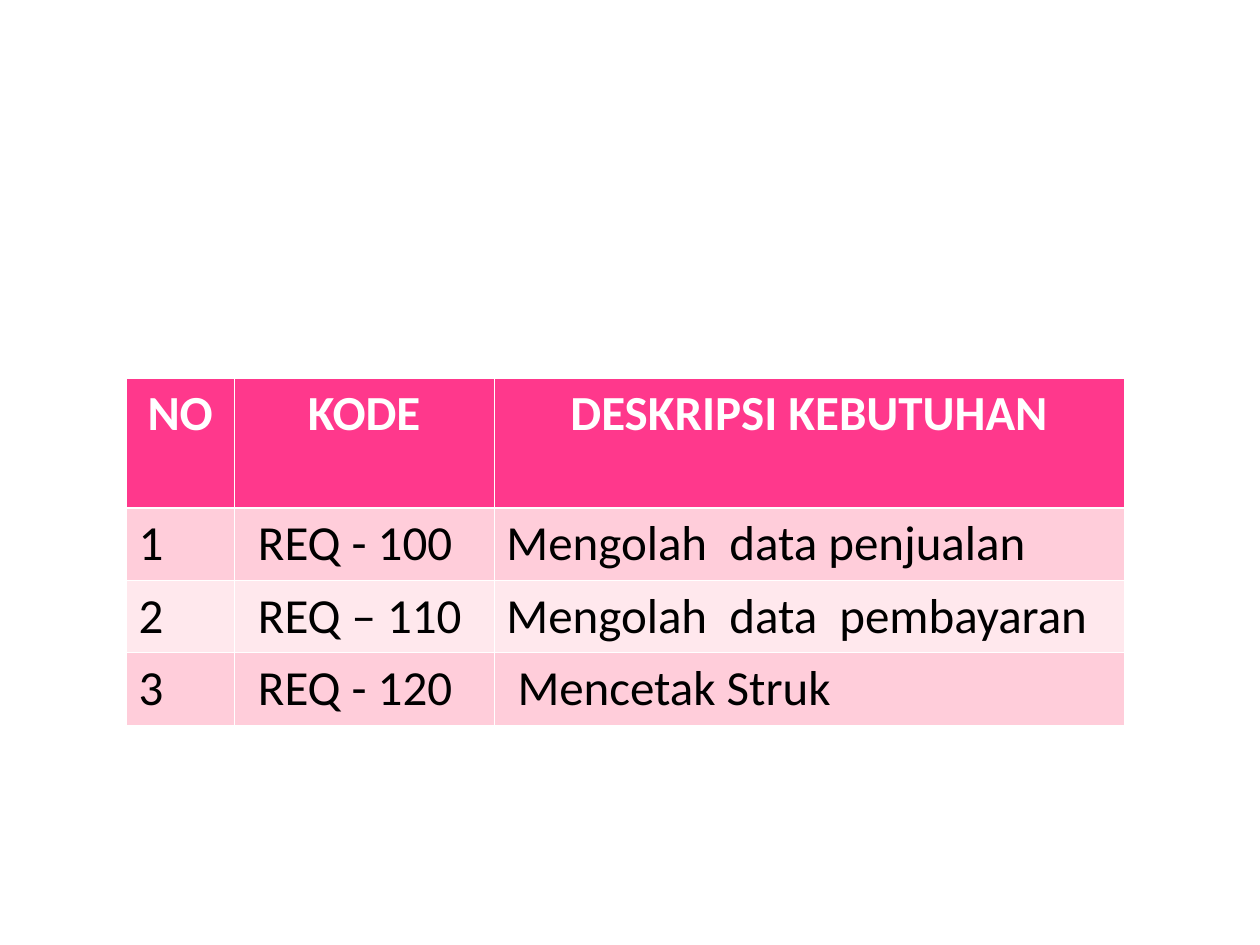
"""Build a slide with a table of coded system requirements."""
from dataclasses import dataclass

from lxml.etree import SubElement
from pptx import Presentation
from pptx.dml.color import RGBColor
from pptx.enum.text import PP_ALIGN
from pptx.oxml.ns import qn
from pptx.slide import Slide
from pptx.table import _Cell
from pptx.util import Inches, Pt

SLIDE_WIDTH, SLIDE_HEIGHT = Inches(10), Inches(7.5)
COLORS = {
    "header": "FF388C",
    "odd_band": "FFCDDA",
    "even_band": "FFE8ED",
    "border": "FFFFFF",
    "header_text": "FFFFFF",
    "body_text": "000000",
}
FONT_NAME, FONT_SIZE = "Calibri", Pt(28)
THIN_BORDER, THICK_BORDER = Pt(0.45), Pt(1.47)
TABLE_LEFT, TABLE_TOP = 0.1, 0.4
COLUMN_SHARES = (0.086, 0.206, 0.5)
HEADER_HEIGHT, BODY_HEIGHT = Inches(1.03), Inches(0.57)


@dataclass(frozen=True)
class Requirement:
    """One row of the requirements table."""

    number: str
    code: str
    description: str

    def texts(self) -> tuple[str, str, str]:
        return self.number, self.code, self.description


@dataclass(frozen=True)
class RowStyle:
    """Look of every cell in a row."""

    fill: str
    text: str
    bold: bool
    alignment: PP_ALIGN
    top_border: int
    bottom_border: int


HEADING = Requirement("NO", "KODE", "DESKRIPSI KEBUTUHAN")
REQUIREMENTS = (
    Requirement("1", " REQ - 100", "Mengolah  data penjualan"),
    Requirement("2", " REQ – 110", "Mengolah  data  pembayaran"),
    Requirement("3", " REQ - 120", " Mencetak Struk"),
)


def row_style(row_index: int) -> RowStyle:
    """Choose the style from the position of the row."""
    if row_index == 0:
        return RowStyle("header", "header_text", True, PP_ALIGN.CENTER, THIN_BORDER, THICK_BORDER)
    fill = "odd_band" if row_index % 2 else "even_band"
    top_border = THICK_BORDER if row_index == 1 else THIN_BORDER
    return RowStyle(fill, "body_text", False, PP_ALIGN.LEFT, top_border, THIN_BORDER)


def add_borders(cell: _Cell, style: RowStyle) -> None:
    """Draw the four edges of a cell."""
    properties = cell._tc.get_or_add_tcPr()
    widths = {
        "a:lnL": THIN_BORDER,
        "a:lnR": THIN_BORDER,
        "a:lnT": style.top_border,
        "a:lnB": style.bottom_border,
    }
    for tag, width in widths.items():
        line = SubElement(properties, qn(tag), w=str(int(width)))
        fill = SubElement(line, qn("a:solidFill"))
        SubElement(fill, qn("a:srgbClr"), val=COLORS["border"])


def fill_cell(cell: _Cell, text: str, style: RowStyle) -> None:
    """Style a cell and write its text."""
    add_borders(cell, style)
    cell.fill.solid()
    cell.fill.fore_color.rgb = RGBColor.from_string(COLORS[style.fill])
    paragraph = cell.text_frame.paragraphs[0]
    paragraph.alignment = style.alignment
    run = paragraph.add_run()
    run.text = text
    run.font.name = FONT_NAME
    run.font.size = FONT_SIZE
    run.font.bold = style.bold
    run.font.color.rgb = RGBColor.from_string(COLORS[style.text])


def add_requirements_table(slide: Slide) -> None:
    """Place the table and fill it row by row."""
    records = (HEADING, *REQUIREMENTS)
    shape = slide.shapes.add_table(
        len(records),
        len(COLUMN_SHARES),
        int(SLIDE_WIDTH * TABLE_LEFT),
        int(SLIDE_HEIGHT * TABLE_TOP),
        int(SLIDE_WIDTH * sum(COLUMN_SHARES)),
        HEADER_HEIGHT + BODY_HEIGHT * len(REQUIREMENTS),
    )
    table = shape.table
    table.horz_banding = False
    for column, share in zip(table.columns, COLUMN_SHARES):
        column.width = int(SLIDE_WIDTH * share)
    for row_index, (row, record) in enumerate(zip(table.rows, records)):
        row.height = BODY_HEIGHT if row_index else HEADER_HEIGHT
        for cell, text in zip(row.cells, record.texts()):
            fill_cell(cell, text, row_style(row_index))


def main() -> None:
    """Create and save the presentation."""
    presentation = Presentation()
    presentation.slide_width = SLIDE_WIDTH
    presentation.slide_height = SLIDE_HEIGHT
    slide = presentation.slides.add_slide(presentation.slide_layouts[6])
    add_requirements_table(slide)
    presentation.save("out.pptx")


if __name__ == "__main__":
    main()
